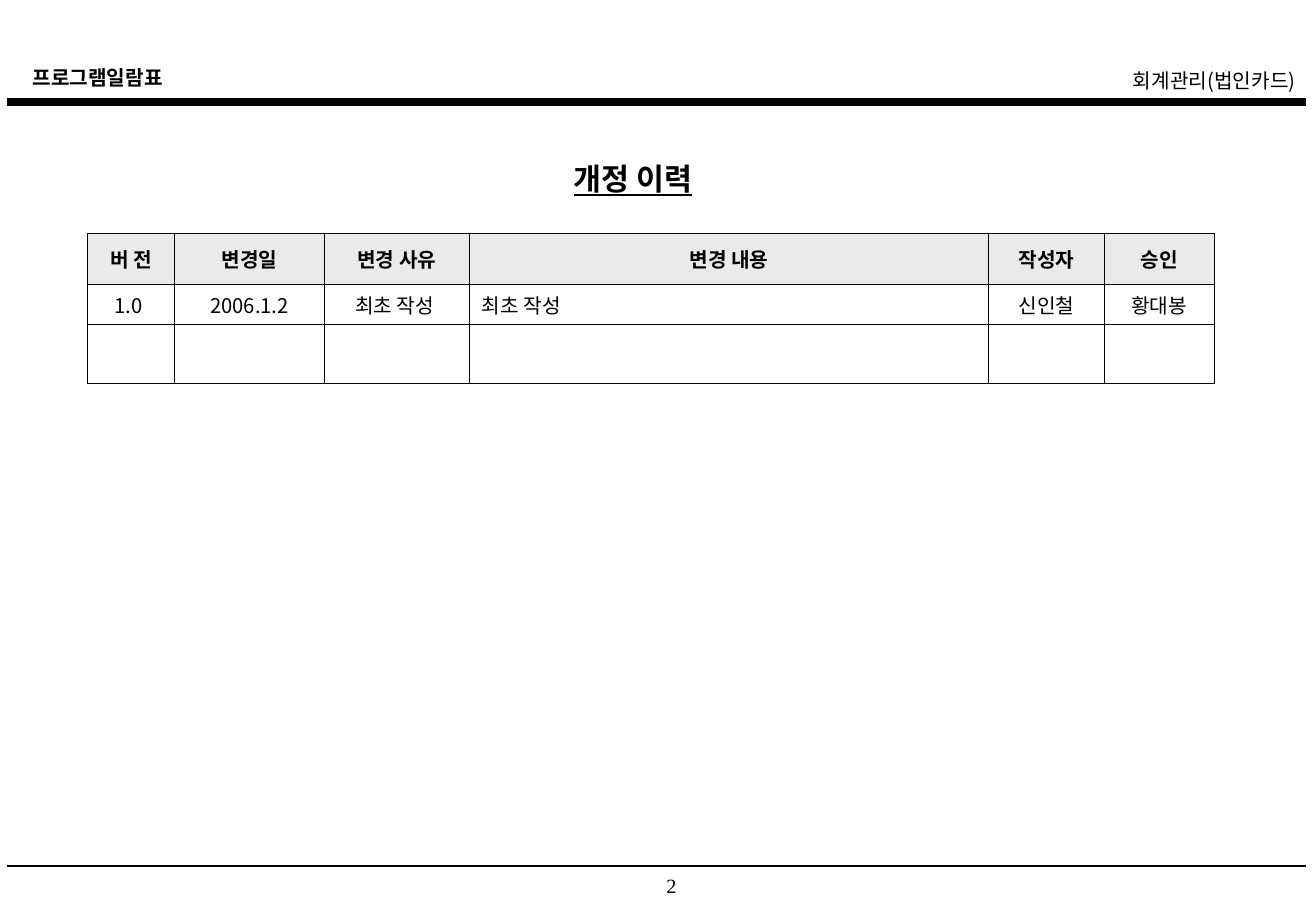
from lxml import etree
from pptx import Presentation
from pptx.dml.color import RGBColor
from pptx.enum import shapes, text
from pptx.oxml import ns
from pptx.util import Inches, Pt

BLACK = RGBColor(0x00, 0x00, 0x00)
HEADER_GRAY = RGBColor(0xEA, 0xEA, 0xEA)
KOREAN = "Noto Sans CJK KR"
LEFT, CENTER, RIGHT = text.PP_ALIGN.LEFT, text.PP_ALIGN.CENTER, text.PP_ALIGN.RIGHT

COL_WIDTHS = [0.72, 1.23, 1.2, 4.27, 0.96, 0.9]
ROW_HEIGHTS = [0.42, 0.33, 0.49]
REVISIONS = [
    ["버 전", "변경일", "변경 사유", "변경 내용", "작성자", "승인"],
    ["1.0 ", "2006.1.2", "최초 작성 ", "최초 작성", "신인철", "황대봉"],
    [""] * 6,
]
CONTENT_COL = 3


def add_run(p, words, size=12, font=KOREAN, bold=False, underline=False):
    r = p.add_run()
    r.text = words
    r.font.size = Pt(size)
    r.font.name = font
    r.font.bold = bold
    r.font.underline = underline
    r.font.color.rgb = BLACK
    # East Asian typeface for the Korean letters
    etree.SubElement(r.font._element, ns.qn("a:ea"), typeface=font)


def add_text(s, x, y, w, h, words, align=LEFT, before=0, **style):
    tf = s.shapes.add_textbox(Inches(x), Inches(y), Inches(w), Inches(h)).text_frame
    tf.word_wrap = True
    p = tf.paragraphs[0]
    p.alignment = align
    p.space_before = Pt(before)
    add_run(p, words, **style)
    return p


def add_rule(s, y, weight):
    line = s.shapes.add_connector(shapes.MSO_CONNECTOR.STRAIGHT,
                                  Inches(0.06), Inches(y), Inches(10.76), Inches(y))
    line.line.color.rgb = BLACK
    line.line.width = Pt(weight)
    etree.SubElement(line._element.spPr, ns.qn("a:effectLst"))


def set_borders(cell):
    tc_pr = cell._tc.get_or_add_tcPr()
    for i, side in enumerate(("lnL", "lnR", "lnT", "lnB")):
        ln = etree.Element(ns.qn(f"a:{side}"), w=str(Pt(0.45)))
        fill = etree.SubElement(ln, ns.qn("a:solidFill"))
        etree.SubElement(fill, ns.qn("a:srgbClr"), val=str(BLACK))
        tc_pr.insert(i, ln)


def add_revision_table(s, x, y):
    table = s.shapes.add_table(len(ROW_HEIGHTS), len(COL_WIDTHS), Inches(x), Inches(y),
                               Inches(sum(COL_WIDTHS)), Inches(sum(ROW_HEIGHTS))).table
    for col, width in zip(table.columns, COL_WIDTHS):
        col.width = Inches(width)
    for row, height in zip(table.rows, ROW_HEIGHTS):
        row.height = Inches(height)
    for i, row in enumerate(REVISIONS):
        for j, words in enumerate(row):
            cell = table.cell(i, j)
            cell.vertical_anchor = text.MSO_ANCHOR.MIDDLE
            if i == 0:
                cell.fill.solid()
                cell.fill.fore_color.rgb = HEADER_GRAY
            else:
                cell.fill.background()
            set_borders(cell)
            if words:
                p = cell.text_frame.paragraphs[0]
                p.alignment = LEFT if i and j == CONTENT_COL else CENTER
                p.space_before = Pt(3)
                add_run(p, words, bold=i == 0)


def main():
    prs = Presentation()
    prs.slide_width, prs.slide_height = Inches(10.84), Inches(7.5)
    s = prs.slides.add_slide(prs.slide_layouts[6])

    # Page header and footer rules
    add_text(s, 0.17, 0.49, 4.35, 0.3, "프로그램일람표", bold=True)
    add_rule(s, 0.84, 4.5)
    add_rule(s, 7.13, 1)
    add_text(s, 6.08, 0.51, 4.69, 0.3, "회계관리(법인카드)", RIGHT)

    # Title and revision history
    p = add_text(s, 4.63, 1.27, 1.53, 0.4, "개정 이력", before=11.2,
                 size=18, bold=True, underline=True)
    add_run(p, " ", size=18)
    add_revision_table(s, 0.72, 1.92)

    # Page number
    p = add_text(s, 5.02, 7.14, 0.78, 0.27, "2", CENTER, font="Times New Roman")
    p._p.get_or_add_pPr().set("marL", str(Inches(0.24)))

    prs.save("out.pptx")


if __name__ == "__main__":
    main()
